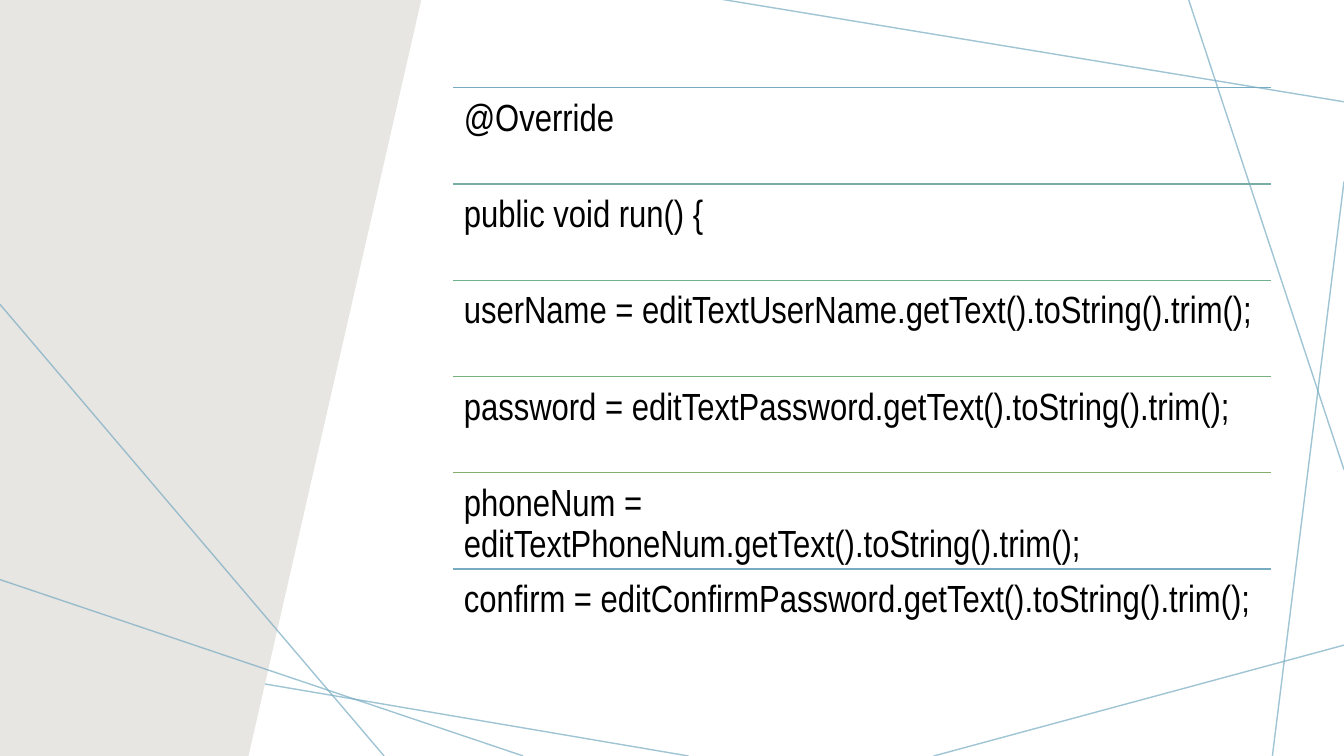
from dataclasses import dataclass

from lxml.etree import SubElement
from pptx import Presentation
from pptx.dml.color import RGBColor
from pptx.enum.shapes import MSO_CONNECTOR as Connector
from pptx.enum.text import MSO_ANCHOR as Anchor, PP_ALIGN as Align
from pptx.oxml.ns import qn
from pptx.util import Inches, Pt

CODE_ROWS = [
    ("@Override", "77ABC2"),
    ("public void run() {", "78ACA6"),
    ("userName = editTextUserName.getText().toString().trim();", "6DB18D"),
    ("password = editTextPassword.getText().toString().trim();", "77B07A"),
    ("phoneNum = editTextPhoneNum.getText().toString().trim();", "83AE6B"),
    ("confirm = editConfirmPassword.getText().toString().trim();", "77ABC2"),
]
BACK_LINES = [
    ((3.41, 0), (0, 0.75)),
    ((0.99, 0), (0, 7.16)),
    ((6.83, 7.5), (-0.05, 6.33)),
    ((13.33, 6.4), (9.26, 7.5)),
    ((13.33, 1.8), (12.62, 7.5)),
    ((13.33, 4.66), (11.79, 0)),
    ((13.33, 1.01), (7.14, -0.01)),
]
FRONT_LINES = [
    ((0, 3.02), (3.81, 7.5)),
    ((5.19, 7.5), (0, 5.75)),
]
PANEL_OUTLINE = [(0, -0.01), (4.18, -0.01), (2.46, 7.52), (0, 7.54)]
LIST_LEFT, LIST_TOP, LIST_WIDTH, LIST_HEIGHT = 4.49, 0.87, 8.12, 5.73


@dataclass(frozen=True)
class Theme:
    background: str = "FFFFFF"
    accent: str = "77ABC2"
    panel: str = "E8E6E2"
    text: str = "000000"
    font: str = "Arial Narrow"
    code_size: float = 27
    line_width: float = 1
    accent_opacity: int = 70
    inset: float = 0.11


THEME = Theme()


def color(value):
    return RGBColor.from_string(value)


def add_line(slide, start, end, line_color, opacity=100):
    points = [Inches(value) for value in (*start, *end)]
    connector = slide.shapes.add_connector(Connector.STRAIGHT, *points)
    connector.line.width = Pt(THEME.line_width)
    connector.line.color.rgb = color(line_color)
    properties = connector._element.spPr
    if opacity < 100:
        fill_color = properties.find(".//" + qn("a:srgbClr"))
        SubElement(fill_color, qn("a:alpha"), val=str(opacity * 1000))
    SubElement(properties, qn("a:effectLst"))


def add_accents(slide, lines):
    for start, end in lines:
        add_line(slide, start, end, THEME.accent, THEME.accent_opacity)


def add_panel(slide):
    outline = [(Inches(x), Inches(y)) for x, y in PANEL_OUTLINE]
    builder = slide.shapes.build_freeform(*outline[0])
    builder.add_line_segments(outline[1:], close=True)
    panel = builder.convert_to_shape()
    panel.shadow.inherit = False
    panel.fill.solid()
    panel.fill.fore_color.rgb = color(THEME.panel)
    panel.line.fill.background()


def add_code_row(slide, text, line_color, top, height):
    add_line(slide, (LIST_LEFT, top), (LIST_LEFT + LIST_WIDTH, top), line_color)
    box = slide.shapes.add_textbox(
        Inches(LIST_LEFT), Inches(top), Inches(LIST_WIDTH), Inches(height)
    )
    frame = box.text_frame
    frame.word_wrap = True
    frame.vertical_anchor = Anchor.TOP
    frame.margin_left = frame.margin_right = Inches(THEME.inset)
    frame.margin_top = frame.margin_bottom = Inches(THEME.inset)
    paragraph = frame.paragraphs[0]
    paragraph.text = text
    paragraph.alignment = Align.LEFT
    paragraph.line_spacing = 0.9
    paragraph.font.name = THEME.font
    paragraph.font.size = Pt(THEME.code_size)
    paragraph.font.color.rgb = color(THEME.text)


def main():
    presentation = Presentation()
    presentation.slide_width = Inches(13.33)
    presentation.slide_height = Inches(7.5)
    slide = presentation.slides.add_slide(presentation.slide_layouts[6])
    slide.background.fill.solid()
    slide.background.fill.fore_color.rgb = color(THEME.background)

    add_accents(slide, BACK_LINES)
    add_panel(slide)
    add_accents(slide, FRONT_LINES)

    row_height = LIST_HEIGHT / len(CODE_ROWS)
    for index, (text, line_color) in enumerate(CODE_ROWS):
        top = LIST_TOP + index * row_height
        add_code_row(slide, text, line_color, top, row_height)

    presentation.save("out.pptx")


if __name__ == "__main__":
    main()
